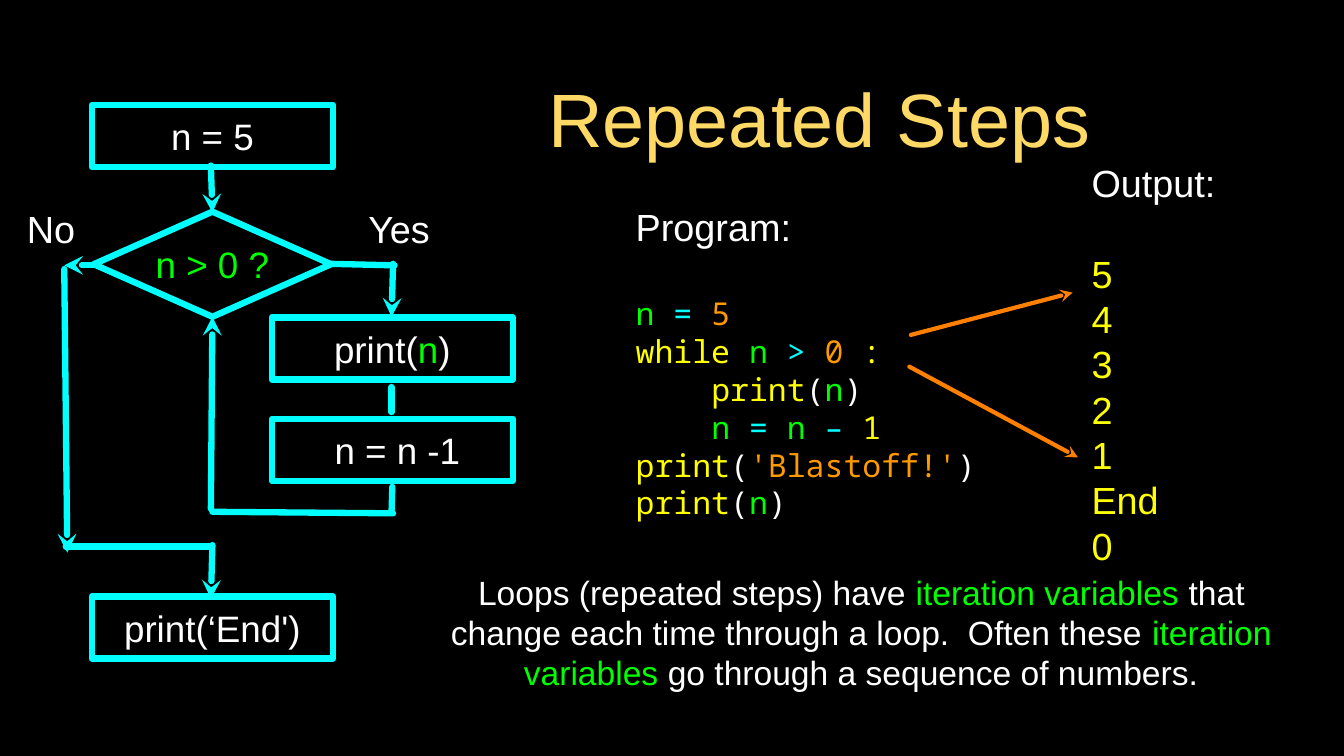
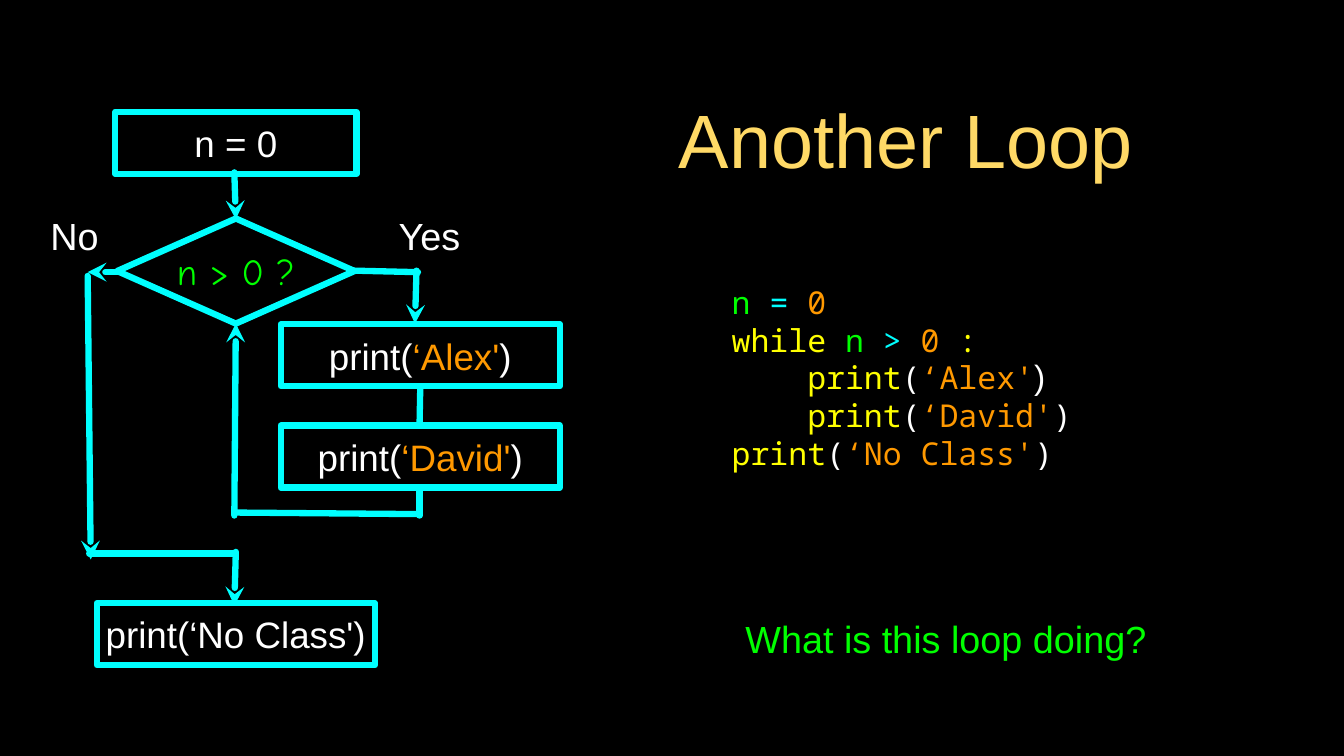
"""Two slides that explain loops with a flowchart and its program."""
from dataclasses import dataclass
from typing import NamedTuple

from lxml import etree
from pptx import Presentation
from pptx.dml.color import RGBColor
from pptx.enum.shapes import MSO_CONNECTOR, MSO_SHAPE
from pptx.enum.text import MSO_ANCHOR, PP_ALIGN
from pptx.oxml.ns import qn
from pptx.util import Inches, Pt

STRAIGHT = MSO_CONNECTOR.STRAIGHT
RECTANGLE, DIAMOND = MSO_SHAPE.RECTANGLE, MSO_SHAPE.DIAMOND
MIDDLE = MSO_ANCHOR.MIDDLE
LEFT, CENTER = PP_ALIGN.LEFT, PP_ALIGN.CENTER

# The page is a grid of square cells, 100 rows high and 177.8 columns wide.
COLUMNS, ROWS = 177.8, 100
CELL = Inches(0.1)
LINE_HEIGHT = 1.2
SANS, MONO, COMIC = "Arial", "Noto Sans Mono", "Comic Neue"
COLORS = {
    "black": "000000", "white": "FFFFFF", "gold": "FFD966", "cyan": "00FFFF",
    "green": "00FF00", "yellow": "FFFF00", "amber": "FF9900", "orange": "FF7F00",
}


class Area(NamedTuple):
    """Left, top, width and height in grid cells."""
    left: float
    top: float
    width: float
    height: float


class Span(NamedTuple):
    """Text in one colour; size and font override those of its line."""
    text: str
    color: str = "white"
    size: float | None = None
    font: str | None = None


@dataclass
class Line:
    """One paragraph; indent is in cells, gap is in points above."""
    spans: list[Span]
    size: float = 36
    font: str = SANS
    align: PP_ALIGN = CENTER
    indent: float = 0
    gap: float = 0


class Stroke(NamedTuple):
    """A straight line in grid cells, with an arrowhead at its end or not."""
    x1: float
    y1: float
    x2: float
    y2: float
    arrow: bool = False


@dataclass
class Flow:
    """The parts of the flowchart that differ between the pages."""
    shift_x: float
    shift_y: float
    start: str
    test_font: str
    steps: list[list[Span]]
    end: str
    step_center: float
    step_width: float
    end_width: float
    yes_width: float
    return_row: float
    links: list[Stroke]


def cells(value: float) -> int:
    """Turn grid cells into a length."""
    return round(value * CELL)


def rgb(name: str) -> RGBColor:
    """Look up a colour by name."""
    return RGBColor.from_string(COLORS[name])


def write(frame, lines: list[Line], inset: float = 0) -> None:
    """Fill a text frame with formatted lines, centred vertically."""
    frame.word_wrap = True
    frame.vertical_anchor = MIDDLE
    frame.margin_left = frame.margin_right = cells(inset)
    frame.margin_top = frame.margin_bottom = cells(inset)
    frame.text = "\n".join(line.spans[0].text for line in lines)
    for paragraph, line in zip(frame.paragraphs, lines):
        paragraph.alignment = line.align
        paragraph.line_spacing = Pt(LINE_HEIGHT * line.size)
        paragraph.space_before = Pt(line.gap)
        if line.indent:
            properties = paragraph._p.get_or_add_pPr()
            properties.set("marL", str(cells(line.indent)))
            properties.set("indent", "0")
        for span in line.spans[1:]:
            paragraph.add_run().text = span.text
        for run, span in zip(paragraph.runs, line.spans):
            run.font.name = span.font or line.font
            run.font.size = Pt(span.size or line.size)
            run.font.color.rgb = rgb(span.color)


def add_text(page, area: Area, lines: list[Line], inset: float = 0) -> None:
    """Add a text box."""
    box = page.shapes.add_textbox(*map(cells, area))
    write(box.text_frame, lines, inset)


def add_node(page, kind: MSO_SHAPE, area: Area, line: Line) -> None:
    """Add an outlined flowchart shape with its text."""
    node = page.shapes.add_shape(kind, *map(cells, area))
    node.shadow.inherit = False
    node.fill.background()
    node.line.color.rgb = rgb("cyan")
    node.line.width = Pt(6)
    write(node.text_frame, [line])


def add_stroke(page, stroke: Stroke, color: str = "cyan", width: float = 6) -> None:
    """Add a round-ended line, with a stealth arrowhead if asked for."""
    connector = page.shapes.add_connector(STRAIGHT, *map(cells, stroke[:4]))
    connector.line.color.rgb = rgb(color)
    connector.line.width = Pt(width)
    outline = connector.line._get_or_add_ln()
    outline.set("cap", "rnd")
    etree.SubElement(outline, qn("a:round"))
    if stroke.arrow:
        etree.SubElement(outline, qn("a:tailEnd"), type="stealth")
    etree.SubElement(connector._element.spPr, qn("a:effectLst"))


def add_flow(page, flow: Flow) -> None:
    """Draw the loop flowchart, moved by the shift of the flow."""
    dx, dy = flow.shift_x, flow.shift_y
    fixed = [
        Stroke(27.9, 21.9, 28.1, 28.1, True),  # start to test
        Stroke(27.9, 67.3, 28.1, 41.9, True),  # back to test
        Stroke(43.7, 34.9, 52.2, 35.1),        # yes, across
        Stroke(52, 34.9, 51.8, 41.9, True),    # yes, down
        Stroke(12.9, 35.1, 8.5, 35.1, True),   # no, across
        Stroke(8.5, 35.6, 8.9, 73.1, True),    # no, down
        Stroke(8.7, 72.3, 27.9, 72.3),         # to the end, across
        Stroke(28.1, 72.1, 27.9, 79.2, True),  # to the end, down
    ]
    for x1, y1, x2, y2, arrow in fixed:
        add_stroke(page, Stroke(x1 + dx, y1 + dy, x2 + dx, y2 + dy, arrow))
    add_stroke(page, Stroke(28.1 + dx, flow.return_row, 52 + dx, flow.return_row + 0.2))
    for link in flow.links:
        add_stroke(page, link)

    def bar(center: float, top: float, width: float, spans: list[Span]) -> None:
        """Add a rectangle around a column."""
        area = Area(center - width / 2, top + dy, width, 8.2)
        add_node(page, RECTANGLE, area, Line(spans, 35))

    middle = 28.1 + dx
    bar(middle, 13.9, 31.9, [Span(flow.start)])
    add_node(page, DIAMOND, Area(middle - 15.7, 28 + dy, 31.4, 13.9),
             Line([Span("n > 0 ?", "green")], 35, flow.test_font))
    for top, spans in zip((42, 55.4), flow.steps):
        bar(flow.step_center, top, flow.step_width, spans)
    bar(middle, 78.9, flow.end_width, [Span(flow.end)])
    for left, width, label in ((2.8, 7.9, "No"), (47.8, flow.yes_width, "Yes")):
        add_text(page, Area(left + dx, 26.8 + dy, width, 6.8), [Line([Span(label)])])


def code(*spans: Span, indent: float = 0, gap: float = 0) -> Line:
    """Make a line of program text."""
    return Line(list(spans), 30, MONO, LEFT, indent, gap)


def assign(value: str, gap: float = 0) -> Line:
    """Make the line that sets n."""
    return code(Span("n ", "green"), Span("= ", "cyan"), Span(value, "amber"), gap=gap)


def while_line() -> Line:
    """Make the line that opens the loop."""
    return code(Span("while ", "yellow"), Span("n ", "green"), Span("> ", "cyan"),
                Span("0", "amber"), Span(" :", "yellow"))


def print_line(value: str, color: str = "amber", indent: float = 0,
               close: Span = Span(")")) -> Line:
    """Make a line that prints a value."""
    return code(Span("print", "yellow"), Span("("), Span(value, color), close,
                indent=indent)


def print_step(value: str, color: str) -> list[Span]:
    """Make the text of a print step in the flowchart."""
    return [Span("print("), Span(value, color), Span(")")]


def add_page(deck, title: str, title_area: Area, flow: Flow):
    """Add a black page with its title and flowchart."""
    page = deck.slides.add_slide(deck.slide_layouts[6])
    page.background.fill.solid()
    page.background.fill.fore_color.rgb = rgb("black")
    add_text(page, title_area, [Line([Span(title, "gold")], 72)], 0.4)
    add_flow(page, flow)
    return page


def add_repeated_steps(deck) -> None:
    """Build the page on repeated steps."""
    flow = Flow(0, 0, "n = 5", SANS, [print_step("n", "green"), [Span(" n = n -1")]],
                "print(‘End')", step_center=51.9, step_width=31.9, end_width=31.9,
                yes_width=10, return_row=67.7,
                links=[Stroke(51.8, 51.2, 51.8, 54.5), Stroke(51.9, 64.4, 51.8, 67.7)])
    page = add_page(deck, "Repeated Steps", Area(51.8, 8.9, 113.2, 13.1), flow)
    blank = LINE_HEIGHT * 36
    tab = 10
    add_text(page, Area(84.1, 23.7, 46.3, 48.5), [
        Line([Span("Program:")], align=LEFT),
        assign("5", gap=blank),
        while_line(),
        print_line("n", "green", tab),
        code(Span("n ", "green"), Span("= ", "cyan"), Span("n ", "green"),
             Span("–", "cyan"), Span(" 1", "yellow"), indent=tab),
        print_line("'Blastoff!'"),
        print_line("n", "green"),
    ])
    results = ["5", "4", "3", "2", "1", "End", "0"]
    add_text(page, Area(144.4, 21.9, 18.9, 52.4), [Line([Span("Output:")], align=LEFT)] + [
        Line([Span(result, "yellow")], align=LEFT, gap=0 if index else blank)
        for index, result in enumerate(results)])
    for arrow in (Stroke(120.5, 44.3, 141.9, 38.7, True),
                  Stroke(120.3, 48.5, 142.6, 60.5, True)):
        add_stroke(page, arrow, "orange", 4)
    variables = Span("iteration variables ", "green")
    add_text(page, Area(55.9, 74.5, 116.1, 18.2), [Line([
        Span("Loops (repeated steps) have "), variables,
        Span("that change each time through a loop.  Often these "), variables,
        Span("go through a sequence of numbers.")], 32)])


def add_another_loop(deck) -> None:
    """Build the page on a loop that never runs."""
    names = ["‘Alex'", "‘David'"]
    flow = Flow(3.1, 0.9, "n = 0", COMIC, [print_step(name, "amber") for name in names],
                "print(‘No Class')", step_center=55.6, step_width=36.9, end_width=36.8,
                yes_width=11.8, return_row=67.8,
                links=[Stroke(55.6, 51.2, 55.5, 56.3), Stroke(55.5, 64.5, 55.5, 68.2)])
    page = add_page(deck, "Another Loop", Area(74.7, 8.9, 90.3, 18.8), flow)
    closers = [Span(")", size=32, font=SANS), Span(")")]
    add_text(page, Area(96.8, 34.8, 54.9, 30.3), [
        assign("0"),
        while_line(),
        *(print_line(name, indent=10, close=close) for name, close in zip(names, closers)),
        print_line("‘No Class'"),
    ])
    add_text(page, Area(90.7, 81.1, 68.9, 6.8),
             [Line([Span("What is this loop doing?", "green")])])


def main() -> None:
    """Build and save the deck."""
    deck = Presentation()
    deck.slide_width, deck.slide_height = cells(COLUMNS), cells(ROWS)
    add_repeated_steps(deck)
    add_another_loop(deck)
    deck.save("out.pptx")


main()
